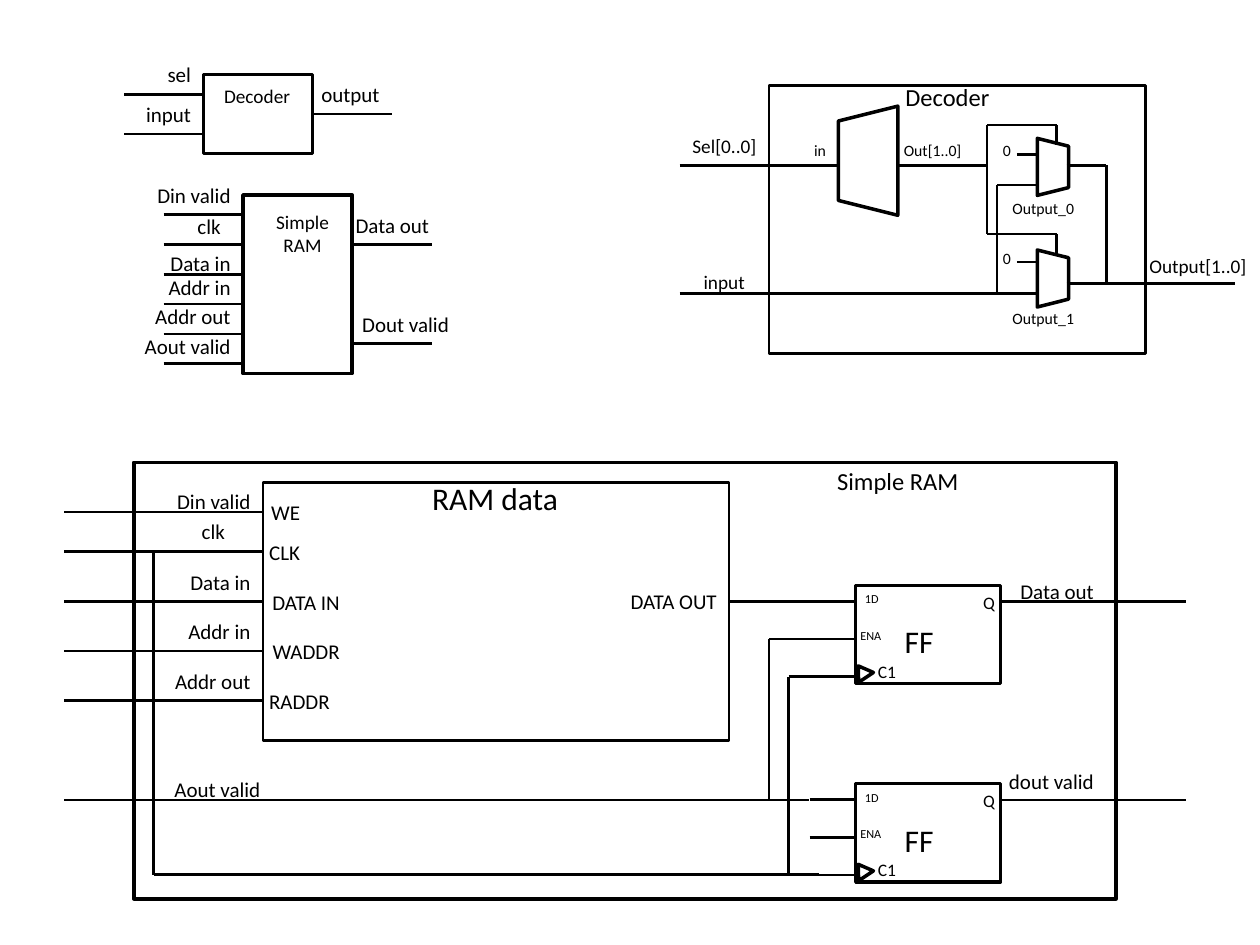
from lxml.etree import SubElement
from pptx import Presentation
from pptx.dml.color import RGBColor
from pptx.enum.shapes import MSO_CONNECTOR, MSO_SHAPE
from pptx.enum.text import PP_ALIGN
from pptx.oxml.ns import qn
from pptx.util import Cm, Pt

BLACK = RGBColor(0, 0, 0)
FONT = "Calibri"
RIGHT, CENTER = PP_ALIGN.RIGHT, PP_ALIGN.CENTER


class Schematic:
    """Draws on one slide; every length is in centimetres."""

    def __init__(self, slide):
        self.slide = slide
        self.shapes = slide.shapes

    def start_group(self):
        self.shapes = self.slide.shapes.add_group_shape().shapes

    def outline(self, left, top, width, height, weight=2.0,
                kind=MSO_SHAPE.RECTANGLE, rotation=0):
        shape = self.shapes.add_shape(kind, Cm(left), Cm(top), Cm(width), Cm(height))
        shape.rotation = rotation
        shape.shadow.inherit = False
        shape.fill.background()
        shape.line.color.rgb = BLACK
        shape.line.width = Pt(weight)

    def wire(self, *points):
        for (x1, y1), (x2, y2) in zip(points, points[1:]):
            connector = self.shapes.add_connector(
                MSO_CONNECTOR.STRAIGHT, Cm(x1), Cm(y1), Cm(x2), Cm(y2))
            connector.line.color.rgb = BLACK
            connector.line.width = Pt(1.5)
            SubElement(connector._element.spPr, qn("a:effectLst"))

    def label(self, text, left, top, width, size=12, align=RIGHT):
        height = 0.25 + 0.043 * size
        box = self.shapes.add_textbox(Cm(left), Cm(top), Cm(width), Cm(height))
        frame = box.text_frame
        frame.word_wrap = True
        if align == RIGHT:
            frame.margin_left = 0
        frame.text = text
        paragraph = frame.paragraphs[0]
        paragraph.alignment = align
        font = paragraph.runs[0].font
        font.name, font.size, font.color.rgb = FONT, Pt(size), BLACK

    def flip_flop(self, top):
        left = 17.25
        self.outline(left, top, 2.92, 1.98)
        self.outline(17.2, top + 1.6, 0.36, 0.28,
                     kind=MSO_SHAPE.ISOSCELES_TRIANGLE, rotation=326.2)
        for offset in (0.32, 1.08, 1.84):
            self.wire((16.32, top + offset), (left, top + offset))
        self.label("FF", 17.9, top + 0.62, 1.17, 18)
        for text, x, offset, width, size in (
                ("1D", 17.04, 0, 1.07, 7), ("ENA", 17.02, 0.73, 1.07, 7),
                ("C1", 17.32, 1.4, 1.12, 10), ("Q", 19.56, 0, 0.76, 10)):
            self.label(text, x, top + offset, width, size, CENTER)


presentation = Presentation()
presentation.slide_width, presentation.slide_height = Cm(25.4), Cm(19.05)
slide = presentation.slides.add_slide(presentation.slide_layouts[6])
schematic = Schematic(slide)

# Decoder, inside view: blocks
schematic.start_group()
schematic.outline(15.5, 1.73, 7.6, 5.4, 1.5)
schematic.outline(16.4, 2.64, 2.2, 1.2, kind=MSO_SHAPE.TRAPEZOID, rotation=270)
for mux_top in (3.05, 5.3):
    schematic.outline(20.65, mux_top, 1.15, 0.63, kind=MSO_SHAPE.TRAPEZOID, rotation=90)

# Decoder, inside view: wires
SELECT_Y, INPUT_Y, OUTPUT_Y = 3.33, 5.92, 5.72
for points in (
        [(13.7, SELECT_Y), (16.9, SELECT_Y)],
        [(13.7, INPUT_Y), (20.9, INPUT_Y)],
        [(18.1, SELECT_Y), (19.9, SELECT_Y), (19.9, 2.52), (21.3, 2.52), (21.3, 2.92)],
        [(19.9, SELECT_Y), (19.9, 4.72), (21.3, 4.72), (21.3, 5.13)],
        [(20.1, INPUT_Y), (20.1, 3.73), (20.9, 3.73)],
        [(20.5, 3.12), (20.9, 3.12)],
        [(20.5, 5.28), (20.9, 5.28)],
        [(21.5, SELECT_Y), (22.3, SELECT_Y), (22.3, OUTPUT_Y)],
        [(21.5, OUTPUT_Y), (22.3, OUTPUT_Y), (23.1, OUTPUT_Y), (24.9, OUTPUT_Y)]):
    schematic.wire(*points)

# Decoder, inside view: labels
for item in (
        ("Decoder", 17.3, 1.52, 3.6, 14, CENTER),
        ("Sel[0..0]", 13.7, 2.59, 1.8, 11, RIGHT),
        ("input", 13.7, 5.33, 1.8, 11, CENTER),
        ("in", 16.1, 2.72, 0.8, 9, RIGHT),
        ("Out[1..0]", 17.9, 2.72, 1.8, 9, CENTER),
        ("0", 19.9, 2.72, 0.8, 9, CENTER),
        ("0", 19.9, 4.88, 0.8, 9, CENTER),
        ("Output_0", 20.1, 3.89, 1.8, 9, RIGHT),
        ("Output_1", 20.1, 6.1, 1.8, 9, RIGHT),
        ("Output[1..0]", 22.8, 5, 2.7, 11, CENTER)):
    schematic.label(*item)

# Simple RAM, inside view: memory block and its input pins
schematic.start_group()
RAM_LEFT = 5.3
schematic.outline(2.7, 9.32, 19.8, 8.8)
schematic.outline(RAM_LEFT, 9.73, 9.4, 5.2, 1.5)
for y, signal, signal_top, signal_width, align, pin, pin_left, pin_width in (
        (10.32, "Din valid", 9.73, 2, RIGHT, "WE", 4.9, 1.4),
        (11.12, "clk", 10.32, 2, CENTER, "CLK", 4.9, 1.4),
        (12.12, "Data in", 11.35, 2, RIGHT, "DATA IN", 5.1, 2),
        (13.12, "Addr in", 12.35, 2, RIGHT, "WADDR", 5.1, 2),
        (14.12, "Addr out", 13.35, 2.2, RIGHT, "RADDR", 5.1, 1.8)):
    schematic.wire((1.3, y), (RAM_LEFT, y))
    schematic.label(signal, RAM_LEFT - signal_width, signal_top, signal_width, align=align)
    schematic.label(pin, pin_left, y - 0.37, pin_width)

# Simple RAM, inside view: flip-flops, wires and labels
for flip_flop_top in (11.8, 15.8):
    schematic.flip_flop(flip_flop_top)
CLOCK_Y, VALID_Y, DATA_Y = 17.63, 16.13, 12.12
for points in (
        [(14.7, DATA_Y), (16.5, DATA_Y)],
        [(1.3, VALID_Y), (16.3, VALID_Y)],
        [(15.5, VALID_Y), (15.5, 12.88), (16.7, 12.88)],
        [(3.1, 11.12), (3.1, CLOCK_Y), (16.5, CLOCK_Y)],
        [(15.9, CLOCK_Y), (15.9, 13.64), (17.12, 13.64)],
        [(20.2, DATA_Y), (23.9, DATA_Y)],
        [(20.2, VALID_Y), (23.9, VALID_Y)]):
    schematic.wire(*points)
for item in (
        ("RAM data", 8.3, 9.53, 3.2, 18),
        ("Simple RAM", 16.3, 9.27, 3.6, 14, CENTER),
        ("DATA OUT", 12.3, 11.73, 2.4),
        ("Aout valid", 3.1, 15.52, 2.4),
        ("Data out", 19.9, 11.53, 2.4),
        ("dout valid", 19.9, 15.37, 2.4)):
    schematic.label(*item)

# Decoder symbol
schematic.start_group()
schematic.outline(4.1, 1.5, 2.2, 1.6)
for x, y in ((2.5, 1.9), (2.5, 2.7), (6.3, 2.3)):
    schematic.wire((x, y), (x + 1.6, y))
for item in (
        ("Decoder", 3.7, 1.57, 2.4, 11),
        ("sel", 3.1, 1.12, 1),
        ("input", 2.5, 1.93, 1.6),
        ("output", 6.1, 1.52, 1.8)):
    schematic.label(*item)

# Simple RAM symbol
schematic.start_group()
schematic.outline(4.9, 3.93, 2.2, 3.6)
for row in range(6):
    y = 4.33 + 0.6 * row
    schematic.wire((3.3, y), (4.9, y))
for y in (4.93, 6.93):
    schematic.wire((7.1, y), (8.7, y))
for item in (
        ("Simple RAM", 4.9, 4.11, 2.4, 11, CENTER),
        ("Din valid", 2.9, 3.56, 2),
        ("clk", 3.1, 4.19, 1.6),
        ("Data in", 2.9, 4.93, 2),
        ("Addr in", 2.9, 5.41, 2),
        ("Addr out", 2.7, 5.99, 2.2),
        ("Aout valid", 2.5, 6.6, 2.4),
        ("Data out", 6.9, 4.17, 2),
        ("Dout valid", 6.9, 6.15, 2.4)):
    schematic.label(*item)

presentation.save("out.pptx")
